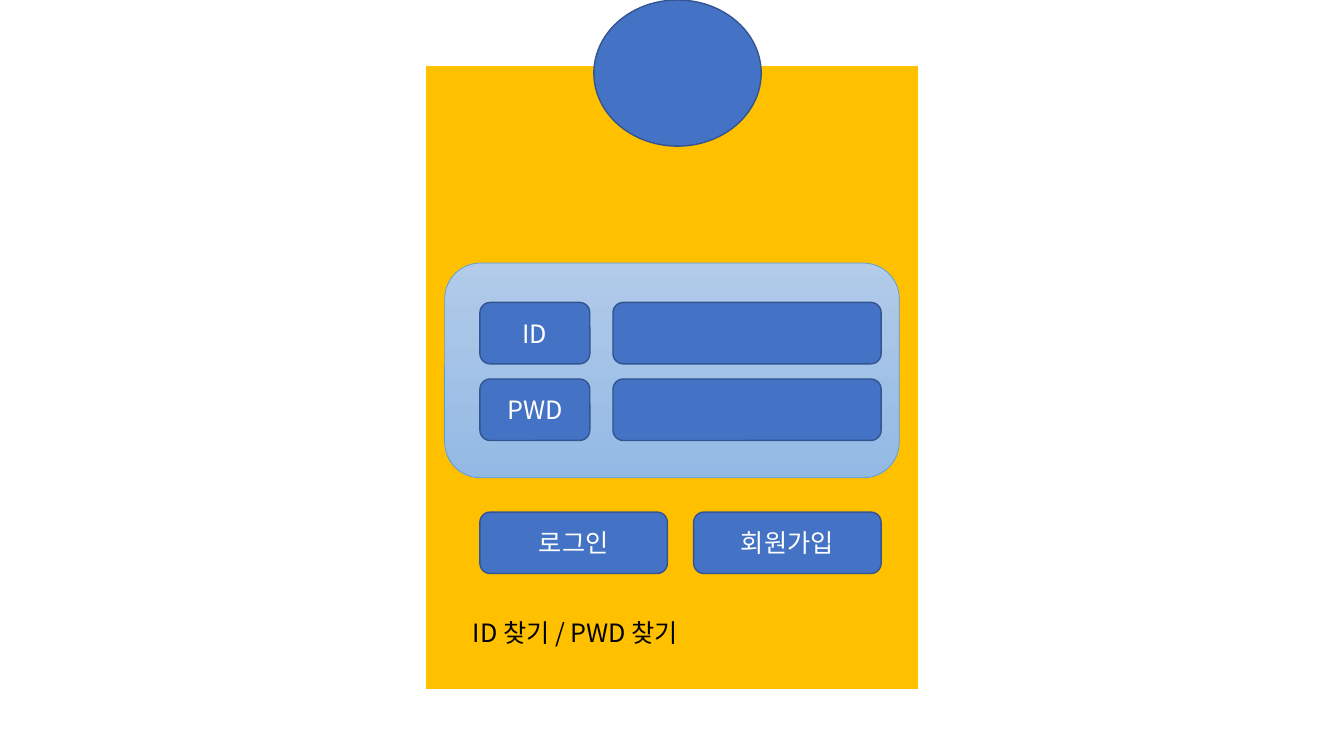
from pptx import Presentation
from pptx import util as u
from pptx.dml.color import RGBColor
from pptx.enum import shapes, text
from pptx.oxml import ns
from lxml import etree

WHITE = RGBColor(0xFF, 0xFF, 0xFF)
BLACK = RGBColor(0x00, 0x00, 0x00)
AMBER = RGBColor(0xFF, 0xC0, 0x00)
BLUE = RGBColor(0x44, 0x72, 0xC4)
DARK_BLUE = RGBColor(0x32, 0x54, 0x91)
SKY_TOP = RGBColor(0xB1, 0xCB, 0xE9)
SKY_BOTTOM = RGBColor(0x93, 0xB9, 0xE4)
SKY_LINE = RGBColor(0x5B, 0x9B, 0xD5)

RECTANGLE = shapes.MSO_SHAPE.RECTANGLE
ROUNDED = shapes.MSO_SHAPE.ROUNDED_RECTANGLE
OVAL = shapes.MSO_SHAPE.OVAL


class LoginSlide:
    font_name = "Noto Sans CJK KR"
    font_size = u.Pt(18)

    def __init__(self, presentation):
        self.slide = presentation.slides.add_slide(presentation.slide_layouts[6])

    def set_text(self, shape, wording, color, alignment):
        shape.text_frame.text = wording
        paragraph = shape.text_frame.paragraphs[0]
        paragraph.alignment = alignment
        for run in paragraph.runs:
            run.font.name = self.font_name
            run.font.size = self.font_size
            run.font.color.rgb = color
            properties = run._r.get_or_add_rPr()
            east_asian = etree.SubElement(properties, ns.qn("a:ea"))
            east_asian.set("typeface", self.font_name)

    def block(self, kind, box, fill=BLUE, line=DARK_BLUE, line_width=1):
        shape = self.slide.shapes.add_shape(kind, *map(u.Inches, box))
        shape.shadow.inherit = False
        shape.fill.solid()
        shape.fill.fore_color.rgb = fill
        shape.line.color.rgb = line
        shape.line.width = u.Pt(line_width)
        return shape

    def gradient_panel(self, box):
        panel = self.block(ROUNDED, box, SKY_TOP, SKY_LINE, 0.5)
        panel.fill.gradient()
        panel.fill.gradient_angle = 270
        for stop, color, position in zip(
            panel.fill.gradient_stops, (SKY_TOP, SKY_BOTTOM), (0, 1)
        ):
            stop.color.rgb = color
            stop.position = position

    def button(self, box, label):
        shape = self.block(ROUNDED, box)
        shape.text_frame.vertical_anchor = text.MSO_ANCHOR.MIDDLE
        self.set_text(shape, label, WHITE, text.PP_ALIGN.CENTER)

    def caption(self, box, wording):
        shape = self.slide.shapes.add_textbox(*map(u.Inches, box))
        shape.text_frame.word_wrap = True
        shape.text_frame.auto_size = text.MSO_AUTO_SIZE.SHAPE_TO_FIT_TEXT
        self.set_text(shape, wording, BLACK, text.PP_ALIGN.LEFT)


def main():
    presentation = Presentation()
    presentation.slide_width = u.Inches(13.33)
    presentation.slide_height = u.Inches(7.5)
    login = LoginSlide(presentation)

    login.block(RECTANGLE, (4.21, 0.64, 4.91, 6.21), AMBER, WHITE, 1.5)
    login.gradient_panel((4.41, 2.61, 4.51, 2.13))
    login.block(OVAL, (5.89, 0, 1.66, 1.45))

    left, height = 4.76, 0.61
    for top, label in ((3, "ID"), (3.76, "PWD")):
        login.button((left, top, 1.09, height), label)
        login.block(ROUNDED, (6.08, top, 2.66, height))
    for column, label in enumerate(("로그인", "회원가입")):
        login.button((left + column * 2.12, 5.08, 1.86, height), label)
    login.caption((4.59, 6.07, 2.5, 0.41), "ID 찾기 / PWD 찾기")

    presentation.save("out.pptx")


if __name__ == "__main__":
    main()
